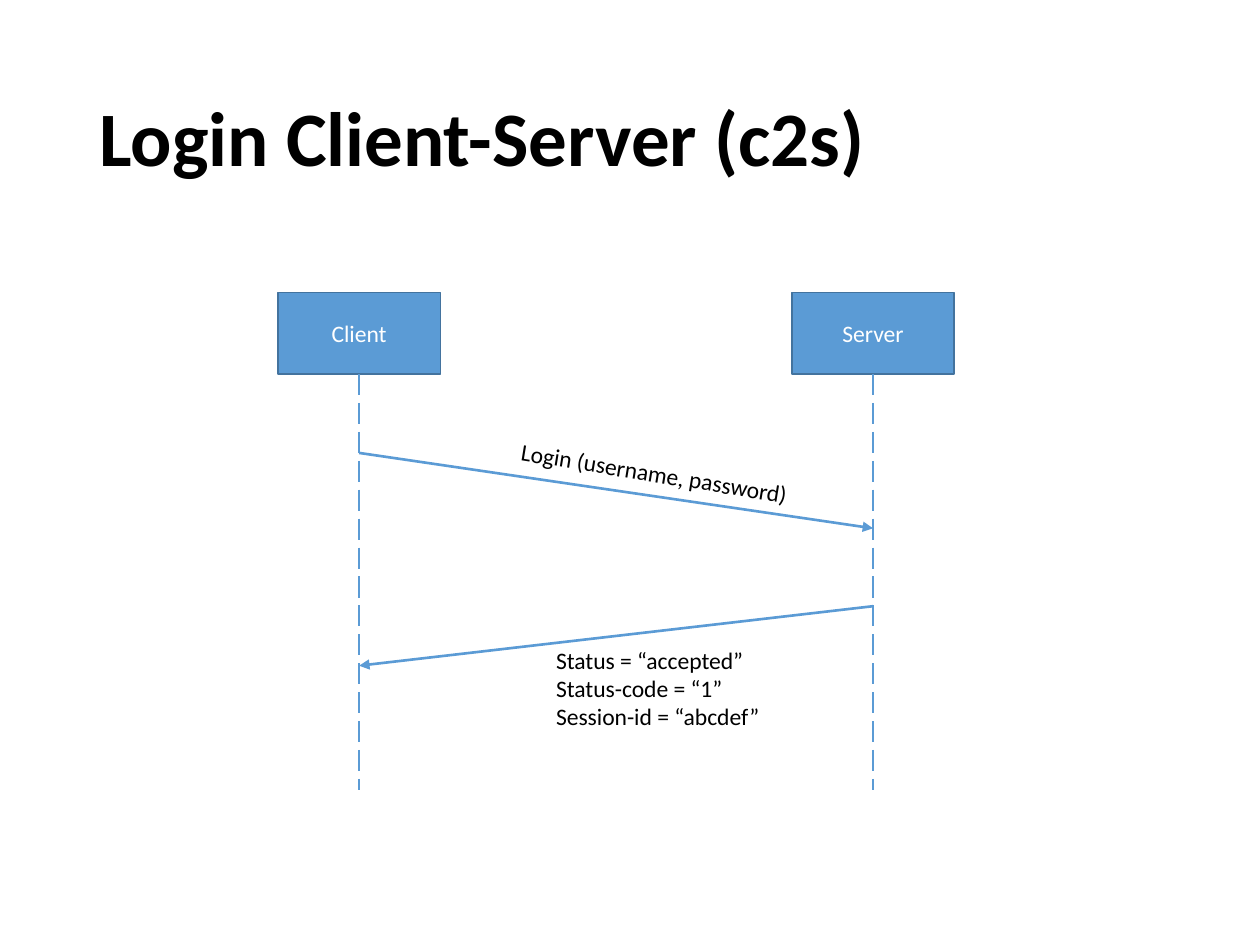
from lxml.etree import SubElement
from pptx import Presentation
from pptx.dml.color import RGBColor
from pptx.enum.dml import MSO_LINE
from pptx.enum.shapes import MSO_CONNECTOR, MSO_SHAPE
from pptx.enum.text import MSO_ANCHOR, MSO_AUTO_SIZE, PP_ALIGN
from pptx.oxml.ns import qn
from pptx.util import Cm, Pt

HUES = {"text": "000000", "box": "5B9BD5", "edge": "43739E", "light": "FFFFFF"}
BODY = {"name": "Calibri", "size": Pt(13.5)}
HEAD = {"name": "Calibri", "size": Pt(44), "bold": True}
BOX_W, BOX_H = 3.28, 1.64


def hue(key):
    return RGBColor.from_string(HUES[key])


def write(shape, text, font, color, frame, para):
    """Fill a shape with text, one paragraph for each line."""
    body = shape.text_frame
    body.text = text
    for key, value in frame.items():
        setattr(body, key, value)
    for line in body.paragraphs:
        for key, value in para.items():
            setattr(line, key, value)
        for run in line.runs:
            for key, value in font.items():
                setattr(run.font, key, value)
            run.font.color.rgb = hue(color)


def link(slide, start, end, dash=None, arrow=False):
    line = slide.shapes.add_connector(
        MSO_CONNECTOR.STRAIGHT, *[Cm(v) for v in (*start, *end)])
    line.line.color.rgb = hue("box")
    line.line.width = Pt(1.5)
    if dash:
        line.line.dash_style = dash
    if arrow:
        SubElement(line.line._get_or_add_ln(), qn("a:tailEnd"), type="triangle")
    SubElement(line._element.spPr, qn("a:effectLst"))
    return line


def add_title(slide, text, left, top, width, height):
    title = slide.shapes.title
    place = {"left": left, "top": top, "width": width, "height": height}
    for key, value in place.items():
        setattr(title, key, Cm(value))
    write(title, text, HEAD, "text",
          {"vertical_anchor": MSO_ANCHOR.MIDDLE, "word_wrap": True},
          {"alignment": PP_ALIGN.LEFT, "line_spacing": 0.9})


def add_actor(slide, name, left, top, height):
    """Draw a named box with its lifeline below."""
    box = slide.shapes.add_shape(
        MSO_SHAPE.RECTANGLE, Cm(left), Cm(top), Cm(BOX_W), Cm(BOX_H))
    box.shadow.inherit = False
    box.fill.solid()
    box.fill.fore_color.rgb = hue("box")
    box.line.color.rgb = hue("edge")
    box.line.width = Pt(1)
    write(box, name, BODY, "light", {"vertical_anchor": MSO_ANCHOR.MIDDLE},
          {"alignment": PP_ALIGN.CENTER})
    mid = left + BOX_W / 2
    life = link(slide, (mid, top + BOX_H), (mid, top + height),
                dash=MSO_LINE.LONG_DASH)
    life.begin_connect(box, 2)
    return mid


def add_label(slide, text, left, top, width, height, turn=0):
    label = slide.shapes.add_textbox(Cm(left), Cm(top), Cm(width), Cm(height))
    label.rotation = turn
    write(label, text, BODY, "text",
          {"word_wrap": False, "auto_size": MSO_AUTO_SIZE.SHAPE_TO_FIT_TEXT},
          {"alignment": PP_ALIGN.LEFT})


def add_flow(slide, left, top, width, height):
    """Draw the login exchange between both actors."""
    # Actors at both ends
    client = add_actor(slide, "Client", left, top, height)
    server = add_actor(slide, "Server", left + width - BOX_W, top, height)
    # Request and reply
    link(slide, (client, top + 3.23), (server, top + 4.75), arrow=True)
    link(slide, (server, top + 6.32), (client, top + 7.52), arrow=True)
    # Message labels
    add_label(slide, "Login (username, password)",
              left + 4.63, top + 3.23, 6.02, 0.84, turn=9.3)
    add_label(slide, "Status = “accepted”\nStatus-code = “1”\nSession-id = “abcdef”",
              left + 5.36, top + 6.99, 4.67, 1.98)


def main():
    deck = Presentation()
    deck.slide_width, deck.slide_height = Cm(25.4), Cm(19.05)
    slide = deck.slides.add_slide(deck.slide_layouts[5])
    add_title(slide, "Login Client-Server (c2s)", 1.75, 1.02, 21.9, 3.68)
    add_flow(slide, 5.6, 5.9, 13.64, 10.03)
    deck.save("out.pptx")


if __name__ == "__main__":
    main()
